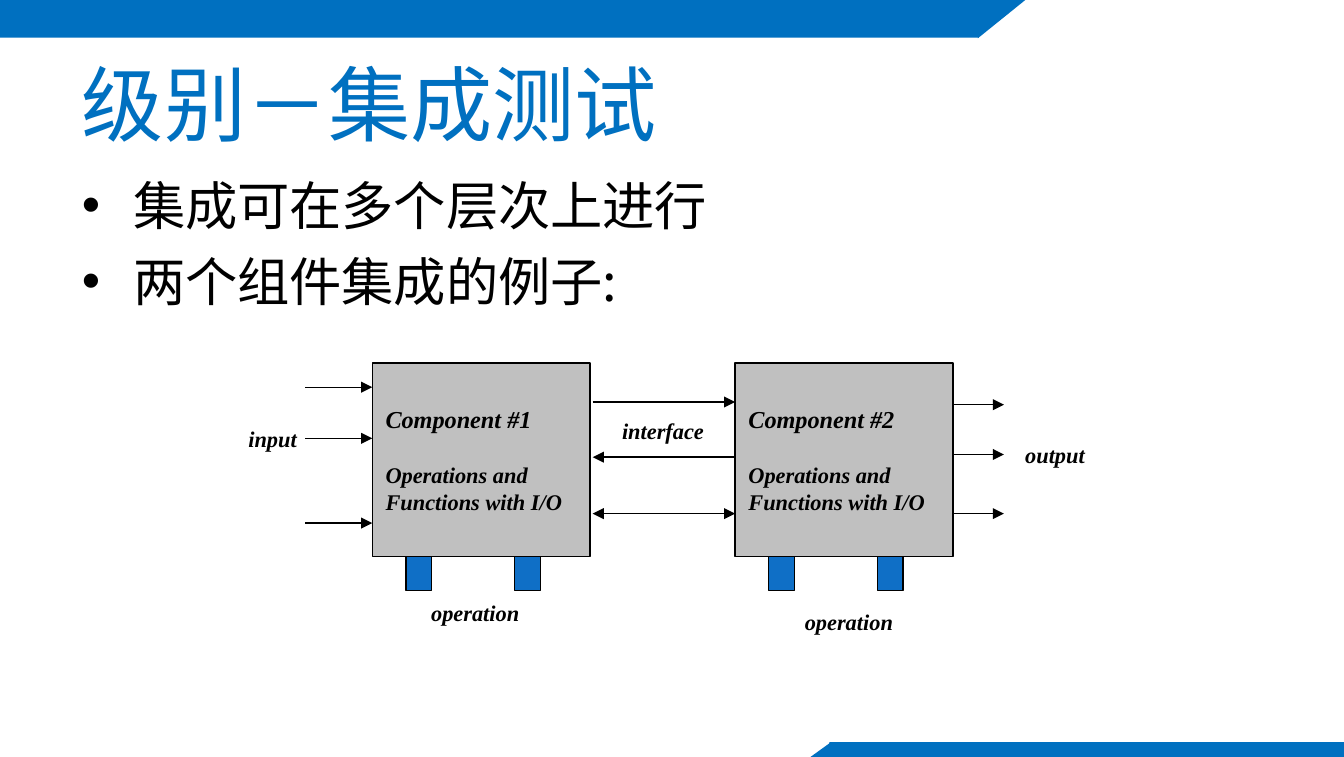
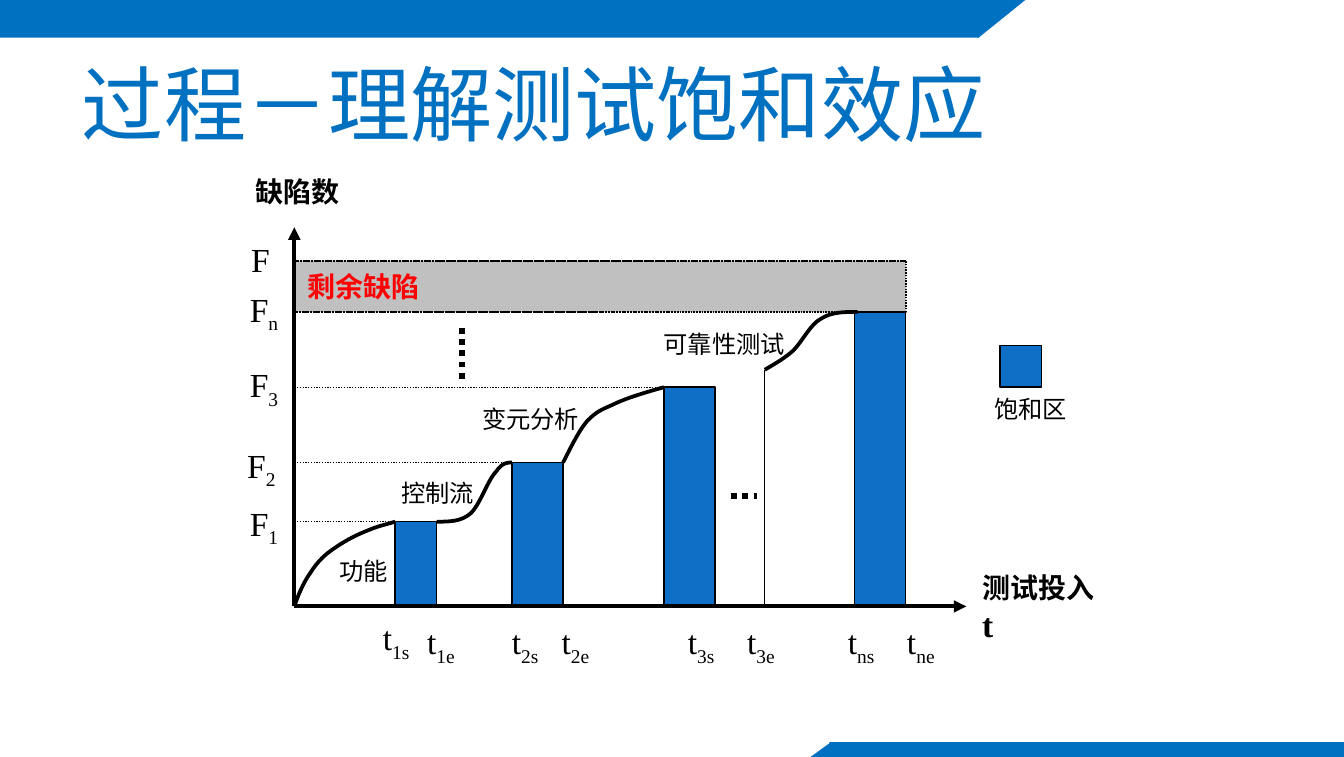
from lxml.etree import SubElement
from pptx import Presentation
from pptx.dml.color import RGBColor
from pptx.enum.dml import MSO_LINE
from pptx.enum.shapes import MSO_CONNECTOR, MSO_SHAPE
from pptx.enum.text import MSO_ANCHOR, MSO_AUTO_SIZE, PP_ALIGN
from pptx.oxml.ns import qn
from pptx.util import Inches, Pt

COLORS = {"brand": "0070C0", "bar": "0F6FC6", "gray": "C0C0C0",
          "black": "000000", "white": "FFFFFF", "red": "FF0000"}
SERIF = "Times New Roman"
TITLE = {"name": "Montserrat", "size": Pt(44)}
BODY = {"name": "Noto Sans CJK SC", "size": Pt(28)}
DIAGRAM = {"name": SERIF, "size": Pt(12), "bold": True, "italic": True}
HEADING = {**DIAGRAM, "size": Pt(13)}
STAGE = {"name": SERIF, "size": Pt(13)}
SYMBOL = {"name": SERIF, "size": Pt(18)}
AXIS_NAME = {"name": SERIF, "size": Pt(15), "bold": True}

TITLE_BOX = (0.51, 0.29, 9, 0.94)
BODY_BOX = (0.51, 1.24, 9, 3.71)
AXIS_X, AXIS_Y = 2.19, 4.51
STAGES = [
    {"name": "功能", "name_at": (2.43, 4.09, 0.56), "index": "1", "level": 3.88,
     "bar": (2.94, 0.31), "symbol_at": (1.76, 3.69),
     "start_at": (2.75, 4.54), "end_at": (3.08, 4.57),
     "curve": [(2.19, 4.51), (2.22, 4.42), (2.26, 4.33), (2.31, 4.26),
               (2.36, 4.18), (2.42, 4.12), (2.5, 4.07),
               (2.57, 4.02), (2.67, 3.97), (2.75, 3.94),
               (2.82, 3.91), (2.88, 3.9), (2.94, 3.88)]},
    {"name": "控制流", "name_at": (2.89, 3.51, 0.74), "index": "2", "level": 3.44,
     "bar": (3.81, 0.38), "symbol_at": (1.74, 3.26),
     "start_at": (3.71, 4.57), "end_at": (4.08, 4.57),
     "curve": [(3.25, 3.88), (3.34, 3.88), (3.43, 3.88), (3.5, 3.82),
               (3.57, 3.76), (3.63, 3.57), (3.69, 3.51),
               (3.74, 3.44), (3.77, 3.44), (3.81, 3.44)]},
    {"name": "变元分析", "name_at": (3.49, 2.96, 0.92), "index": "3", "level": 2.88,
     "bar": (4.94, 0.38), "symbol_at": (1.76, 2.66),
     "start_at": (5.02, 4.57), "end_at": (5.46, 4.57),
     "curve": [(4.19, 3.44), (4.25, 3.32), (4.31, 3.2), (4.37, 3.13),
               (4.44, 3.06), (4.47, 3.05), (4.56, 3.01),
               (4.66, 2.96), (4.8, 2.92), (4.94, 2.88)]},
    {"name": "可靠性测试", "name_at": (4.84, 2.4, 1.1), "index": "n", "level": 2.32,
     "bar": (6.36, 0.38), "symbol_at": (1.76, 2.1),
     "start_at": (6.21, 4.57), "end_at": (6.65, 4.57),
     "curve": [(5.69, 2.75), (5.76, 2.71), (5.83, 2.67), (5.9, 2.61),
               (5.97, 2.54), (6.03, 2.41), (6.11, 2.37),
               (6.19, 2.32), (6.28, 2.32), (6.38, 2.32)]},
]


def rgb(color):
    """Return the named palette colour."""
    return RGBColor.from_string(COLORS[color])


def set_attributes(target, values):
    """Set every attribute in a dict of format values."""
    for name, value in values.items():
        setattr(target, name, value)


def add_run(paragraph, text, style, color="black"):
    """Append formatted text to a paragraph."""
    run = paragraph.add_run()
    run.text = text
    set_attributes(run.font, style)
    run.font.color.rgb = rgb(color)
    return run


def place(shape, box):
    """Move and size a shape, in inches."""
    names = ("left", "top", "width", "height")
    set_attributes(shape, dict(zip(names, map(Inches, box))))


def fill_lines(frame, lines, color="black"):
    """Write (text, style, space before) lines into a text frame."""
    for number, (text, style, space) in enumerate(lines):
        paragraph = frame.add_paragraph() if number else frame.paragraphs[0]
        paragraph.alignment = PP_ALIGN.LEFT
        paragraph.space_before = Pt(space)
        add_run(paragraph, text, style, color)


def add_block(slide, box, fill, outline="black", kind=MSO_SHAPE.RECTANGLE):
    """Add a filled preset shape, outlined unless outline is None."""
    shape = slide.shapes.add_shape(kind, *map(Inches, box))
    shape.shadow.inherit = False
    shape.fill.solid()
    shape.fill.fore_color.rgb = rgb(fill)
    if outline:
        shape.line.color.rgb = rgb(outline)
        shape.line.width = Pt(0.75)
    else:
        shape.line.fill.background()
    return shape


def add_text_block(slide, box, lines, color="black"):
    """Add a gray block with left-aligned text."""
    shape = add_block(slide, box, "gray")
    set_attributes(shape.text_frame, {"word_wrap": False, "vertical_anchor": MSO_ANCHOR.MIDDLE})
    fill_lines(shape.text_frame, lines, color)
    return shape


def add_label(slide, box, *lines):
    """Add an unwrapped text box of (text, style, space) lines."""
    label = slide.shapes.add_textbox(*map(Inches, box))
    set_attributes(label.text_frame, {"word_wrap": False,
                                      "auto_size": MSO_AUTO_SIZE.SHAPE_TO_FIT_TEXT})
    fill_lines(label.text_frame, lines)
    return label


def add_symbol(slide, position, letter, index):
    """Add a letter with a subscript."""
    label = add_label(slide, (*position, 0.41, 0.44), (letter, SYMBOL, 0))
    run = add_run(label.text_frame.paragraphs[0], index, SYMBOL)
    run.font._element.set("baseline", "-25000")


def add_line(slide, start, end, width=0.75, dotted=False, ends=()):
    """Add a straight line with optional headEnd and tailEnd arrowheads."""
    line = slide.shapes.add_connector(MSO_CONNECTOR.STRAIGHT, *map(Inches, (*start, *end)))
    line.line.color.rgb = rgb("black")
    line.line.width = Pt(width)
    if dotted:
        line.line.dash_style = MSO_LINE.ROUND_DOT
    properties = line.element.spPr
    for name in ends:
        SubElement(properties.find(qn("a:ln")), qn(f"a:{name}"), type="triangle")
    SubElement(properties, qn("a:effectLst"))


def add_curve(slide, points):
    """Draw an open curve through cubic Bezier control points."""
    start, *controls = [tuple(map(Inches, point)) for point in points]
    builder = slide.shapes.build_freeform(*start)
    builder.add_line_segments(controls, close=False)
    curve = builder.convert_to_shape()
    outline = curve.element.find(f".//{qn('a:path')}")
    segments = outline.findall(qn("a:lnTo"))
    for first in range(0, len(segments), 3):
        bezier = SubElement(outline, qn("a:cubicBezTo"))
        for segment in segments[first:first + 3]:
            bezier.append(segment[0])
            outline.remove(segment)
    curve.shadow.inherit = False
    curve.fill.background()
    curve.line.color.rgb = rgb("black")
    curve.line.width = Pt(2)


def add_bands(presentation, slide):
    """Draw the header and footer bands and move them to the master."""
    triangle = MSO_SHAPE.RIGHT_TRIANGLE
    bands = [((0, 0, 10, 0.28), "brand", MSO_SHAPE.RECTANGLE, 0),
             ((7.28, 0, 2.72, 0.38), "white", MSO_SHAPE.RECTANGLE, 0),
             ((6.17, 5.52, 3.85, 0.12), "brand", MSO_SHAPE.RECTANGLE, 0),
             ((7.31, -0.04, 0.29, 0.36), "brand", triangle, 90),
             ((6.04, 5.5, 0.12, 0.16), "brand", triangle, 271)]
    tree = presentation.slide_master.shapes.element
    for number, (box, fill, kind, rotation) in enumerate(bands):
        band = add_block(slide, box, fill, None, kind)
        band.rotation = rotation
        band.element.nvSpPr.cNvPr.set("id", str(20 + number))
        tree.insert(2 + number, band.element)


def add_titled_slide(presentation, layout, title):
    """Add a slide with the shared title style."""
    slide = presentation.slides.add_slide(presentation.slide_layouts[layout])
    place(slide.shapes.title, TITLE_BOX)
    slide.shapes.title.text_frame.auto_size = MSO_AUTO_SIZE.NONE
    fill_lines(slide.shapes.title.text_frame, [(title, TITLE, 0)], "brand")
    return slide


def add_bullets(slide, items):
    """Fill the body placeholder with a bulleted list."""
    body = slide.placeholders[1]
    place(body, BODY_BOX)
    body.text_frame.auto_size = MSO_AUTO_SIZE.NONE
    fill_lines(body.text_frame, [(text, BODY, 7 if number else 0)
                                 for number, text in enumerate(items)])
    for paragraph in body.text_frame.paragraphs:
        properties = paragraph._p.get_or_add_pPr()
        properties.set("marL", str(Inches(0.38)))
        properties.set("indent", str(-Inches(0.38)))
        SubElement(properties, qn("a:buChar"), char="•")


def add_component(slide, left, number, operation_at):
    """Add a component with its two operation pins."""
    add_text_block(slide, (left, 2.7, 1.62, 1.44),
                   [(f"Component #{number}", HEADING, 0),
                    ("Operations and", DIAGRAM, 15),
                    ("Functions with I/O", DIAGRAM, 0)])
    for offset in (0.25, 1.06):
        add_block(slide, (left + offset, 4.14, 0.19, 0.25), "bar")
    add_label(slide, (*operation_at, 0.86, 0.3), ("operation", DIAGRAM, 0))


def build_integration(presentation):
    """Build the component integration slide."""
    slide = add_titled_slide(presentation, 1, "级别－集成测试")
    add_bands(presentation, slide)
    add_bullets(slide, ["集成可在多个层次上进行", "两个组件集成的例子:"])
    add_component(slide, 2.77, 1, (3.11, 4.41))
    add_component(slide, 5.47, 2, (5.89, 4.47))
    arrows = [(2.27, 2.77, (2.88, 3.26, 3.89)), (7.09, 7.47, (3.01, 3.38, 3.82))]
    for left, right, heights in arrows:
        for y in heights:
            add_line(slide, (left, y), (right, y), ends=["tailEnd"])
    interface = [(2.99, ["tailEnd"]), (3.4, ["headEnd"]), (3.82, ["headEnd", "tailEnd"])]
    for y, ends in interface:
        add_line(slide, (4.41, y), (5.47, y), ends=ends)
    for text, box in [("input", (1.75, 3.11, 0.56, 0.3)),
                      ("interface", (4.53, 3.05, 0.81, 0.3)),
                      ("output", (7.53, 3.23, 0.66, 0.3))]:
        add_label(slide, box, (text, DIAGRAM, 0))


def add_stage(slide, stage):
    """Add one test stage: bar, level line, curve and labels."""
    level, (left, width) = stage["level"], stage["bar"]
    add_block(slide, (left, level, width, AXIS_Y - level), "bar")
    add_line(slide, (AXIS_X, level), (left, level), dotted=True)
    add_curve(slide, stage["curve"])
    add_label(slide, (*stage["name_at"], 0.32), (stage["name"], STAGE, 0))
    add_symbol(slide, stage["symbol_at"], "F", stage["index"])
    add_symbol(slide, stage["start_at"], "t", stage["index"] + "s")
    add_symbol(slide, stage["end_at"], "t", stage["index"] + "e")


def build_saturation(presentation):
    """Build the test saturation slide."""
    slide = add_titled_slide(presentation, 5, "过程－理解测试饱和效应")
    remaining = add_text_block(slide, (AXIS_X, 1.94, 4.55, 0.38),
                               [("剩余缺陷", AXIS_NAME, 0)], "red")
    remaining.line.dash_style = MSO_LINE.ROUND_DOT
    for stage in STAGES:
        add_stage(slide, stage)
    add_line(slide, (AXIS_X, 1.94), (6.75, 1.94), dotted=True)
    for end in [(AXIS_X, 1.69), (7.19, AXIS_Y)]:
        add_line(slide, (AXIS_X, AXIS_Y), end, 2.25, ends=["tailEnd"])
    add_line(slide, (5.69, 2.75), (5.69, 4.5))
    for start, end in [((5.44, 3.69), (5.63, 3.69)), ((3.44, 2.44), (3.44, 2.82))]:
        add_line(slide, start, end, 3, dotted=True)
    add_label(slide, (1.8, 1.25, 0.86, 0.35), ("缺陷数", AXIS_NAME, 0))
    add_label(slide, (7.21, 4.19, 1.03, 0.65), ("测试投入", AXIS_NAME, 0),
              ("t", {**SYMBOL, "bold": True}, 0))
    add_label(slide, (1.77, 1.73, 0.34, 0.4), ("F", SYMBOL, 0))
    add_block(slide, (7.44, 2.57, 0.31, 0.31), "bar")
    add_label(slide, (7.3, 2.88, 0.74, 0.32), ("饱和区", STAGE, 0))


def main():
    """Build and save the presentation."""
    presentation = Presentation()
    set_attributes(presentation, {"slide_width": Inches(10), "slide_height": Inches(5.63)})
    build_integration(presentation)
    build_saturation(presentation)
    presentation.save("out.pptx")


if __name__ == "__main__":
    main()
